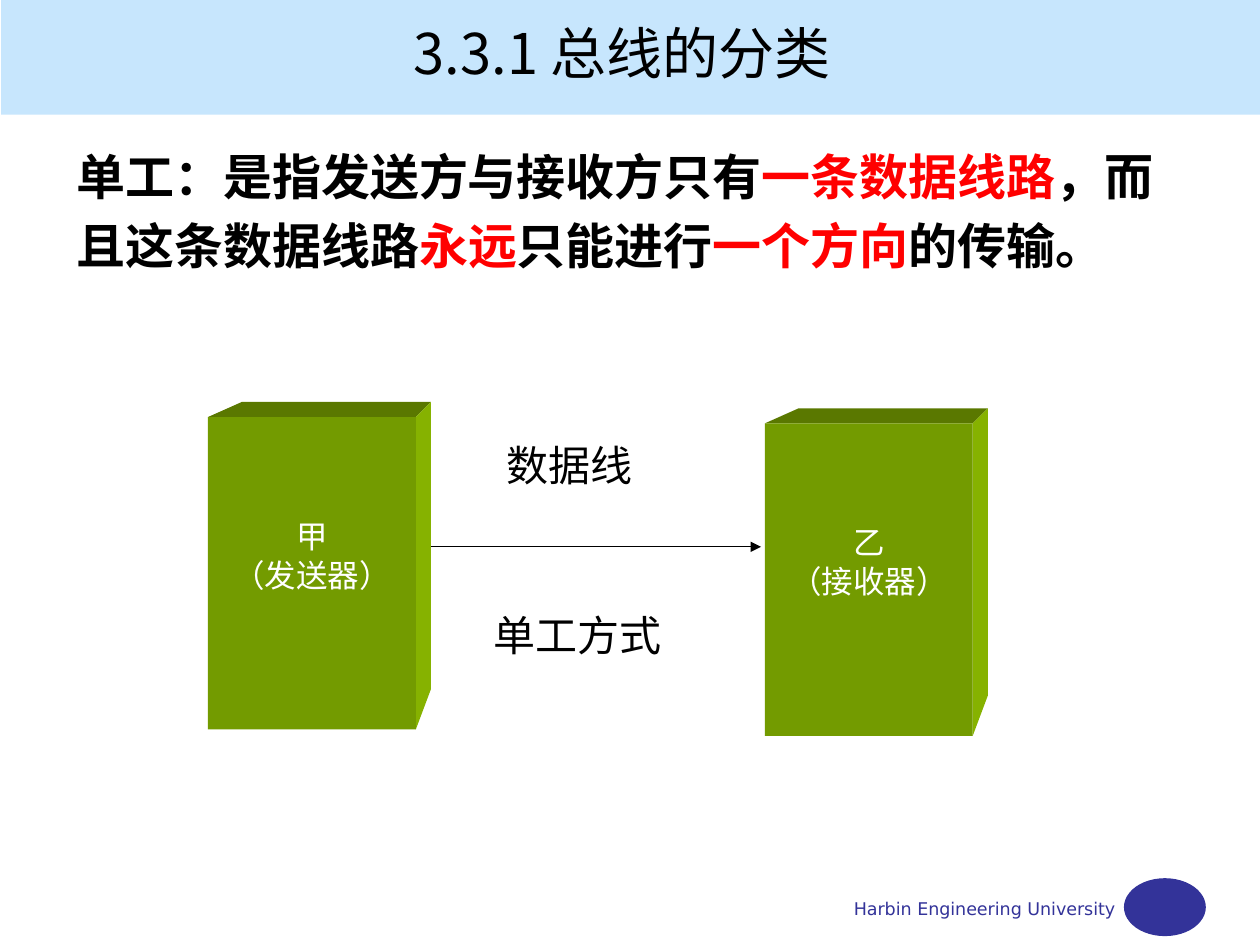
from lxml import etree
from pptx import Presentation
from pptx.dml.color import RGBColor
from pptx.enum.shapes import MSO_CONNECTOR, MSO_SHAPE
from pptx.enum.text import MSO_ANCHOR, PP_ALIGN
from pptx.oxml.ns import qn
from pptx.util import Inches, Pt

RECTANGLE, OVAL = MSO_SHAPE.RECTANGLE, MSO_SHAPE.OVAL
STRAIGHT = MSO_CONNECTOR.STRAIGHT
MIDDLE, TOP = MSO_ANCHOR.MIDDLE, MSO_ANCHOR.TOP
LEFT, CENTER, RIGHT = PP_ALIGN.LEFT, PP_ALIGN.CENTER, PP_ALIGN.RIGHT
CJK, SANS, SERIF = "Noto Sans CJK SC", "DejaVu Sans", "Times New Roman"
COLORS = {
    "band": "C7E6FD", "navy": "333399", "black": "000000", "red": "FF0000",
    "white": "FFFFFF", "front": "739B00", "top": "5A7800", "side": "86B200",
}
DEFINITION = [
    [("单工：是指发送方与接收方只有", "black"), ("一条数据线路", "red"), ("，而", "black")],
    [("且这条数据线路", "black"), ("永远", "red"), ("只能进行", "black"),
     ("一个方向", "red"), ("的传输。", "black")],
]


def rgb(name):
    """Return the named colour."""
    return RGBColor.from_string(COLORS[name])


def paint(shape, color):
    """Give a shape a flat fill with no line or shadow."""
    shape.shadow.inherit = False
    shape.fill.solid()
    shape.fill.fore_color.rgb = rgb(color)
    shape.line.fill.background()


def add_block(slide, kind, box, color):
    """Add a flat preset shape in the given box."""
    block = slide.shapes.add_shape(kind, *map(Inches, box))
    paint(block, color)
    return block


def write(frame, lines, size, font, align=LEFT, anchor=TOP, bold=False, spacing=None):
    """Fill a text frame with lines made of (text, colour) pieces."""
    frame.word_wrap = True
    frame.vertical_anchor = anchor
    for index, pieces in enumerate(lines):
        paragraph = frame.paragraphs[0] if index == 0 else frame.add_paragraph()
        paragraph.alignment = align
        if spacing:
            paragraph.line_spacing = Pt(spacing)
        for text, color in pieces:
            run = paragraph.add_run()
            run.text = text
            run.font.name, run.font.size, run.font.bold = font, Pt(size), bold
            run.font.color.rgb = rgb(color)
            east_asian = etree.SubElement(run.font._element, qn("a:ea"))
            east_asian.set("typeface", CJK)


def add_text(slide, box, lines, size, font, **style):
    """Add a text box and return its frame."""
    frame = slide.shapes.add_textbox(*map(Inches, box)).text_frame
    write(frame, lines, size, font, **style)
    return frame


def add_header(slide, left, top, width, height):
    """Draw the title band with its title."""
    add_block(slide, RECTANGLE, (left, top, width, height), "band")
    add_text(slide, (left + 0.64, top + 0.08, 8.58, 0.67),
             [[("3.3.1 总线的分类", "black")]], 32, CJK, align=CENTER, anchor=MIDDLE)


def add_footer(slide, left, top, width, height):
    """Draw the university name with a plain oval at its right."""
    add_block(slide, OVAL, (left + width - 0.65, top, 0.65, height), "navy")
    add_text(slide, (left, top + 0.11, 4.33, 0.33),
             [[("Harbin Engineering University", "navy")]], 10, SANS, align=RIGHT)


def add_definition(slide, left, top, width, height):
    """Write the definition of simplex transmission."""
    frame = add_text(slide, (left, top, width, height), DEFINITION, 28, CJK,
                     bold=True, spacing=39)
    frame.margin_top = 0


def add_face(slide, points, color):
    """Draw one slanted face of a device."""
    start, *rest = [(Inches(x), Inches(y)) for x, y in points]
    builder = slide.shapes.build_freeform(*start)
    builder.add_line_segments(rest, close=True)
    paint(builder.convert_to_shape(), color)


def add_device(slide, left, top, width, height, name, role):
    """Draw a solid device box with its name and role."""
    right, bottom = left + width, top + height
    back_right, back_top = right + 0.12, top - 0.12
    add_face(slide, [(left, top), (left + 0.27, back_top),
                     (back_right, back_top), (right, top)], "top")
    add_face(slide, [(right, top), (back_right, back_top),
                     (back_right, bottom - 0.32), (right, bottom)], "side")
    front = add_block(slide, RECTANGLE, (left, top, width, height), "front")
    write(front.text_frame, [[(name, "white")], [(role, "white")]], 18, SERIF,
          align=CENTER, anchor=MIDDLE, spacing=22)
    front.text_frame.margin_bottom = Inches(0.34)


def add_data_line(slide, left, top, width):
    """Draw the one-way arrow."""
    arrow = slide.shapes.add_connector(
        STRAIGHT, Inches(left), Inches(top), Inches(left + width), Inches(top))
    arrow.line.color.rgb = rgb("black")
    arrow.line.width = Pt(0.75)
    etree.SubElement(arrow.line._get_or_add_ln(), qn("a:tailEnd")).set("type", "triangle")
    etree.SubElement(arrow._element.spPr, qn("a:effectLst"))


def add_diagram(slide, left, top, width, height):
    """Draw the sender, the receiver and the line between them."""
    device_width, device_height = 1.65, 2.48
    add_data_line(slide, left + 1.69, top + 1.03, 2.7)
    for x, y, label_width, label in [(2.27, 0.1, 1.45, "数据线"),
                                     (2.17, 1.45, 1.83, "单工方式")]:
        add_text(slide, (left + x, top + y, label_width, 0.5),
                 [[(label, "black")]], 24, SANS, spacing=31)
    add_device(slide, left, top, device_width, device_height, "甲", "（发送器）")
    add_device(slide, left + width - device_width, top + height - device_height,
               device_width, device_height, "乙", "（接收器）")


def main():
    """Build and save the slide."""
    deck = Presentation()
    deck.slide_width, deck.slide_height = Inches(10), Inches(7.5)
    slide = deck.slides.add_slide(deck.slide_layouts[6])
    add_header(slide, 0.01, 0, 9.99, 0.91)
    add_footer(slide, 4.62, 6.97, 4.95, 0.46)
    add_definition(slide, 0.51, 1.09, 9, 5.42)
    add_diagram(slide, 1.65, 3.31, 6.07, 2.53)
    deck.save("out.pptx")


if __name__ == "__main__":
    main()
